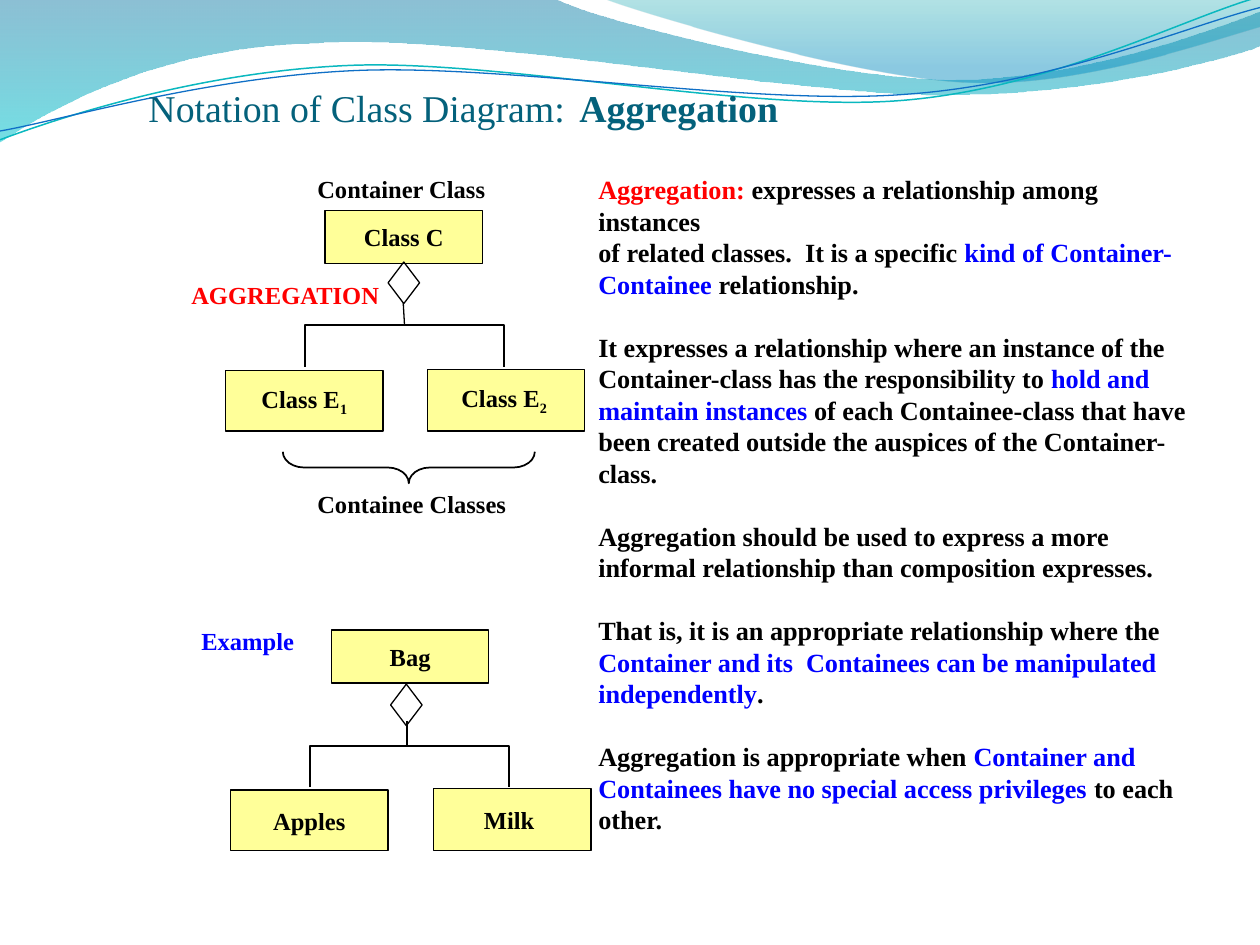
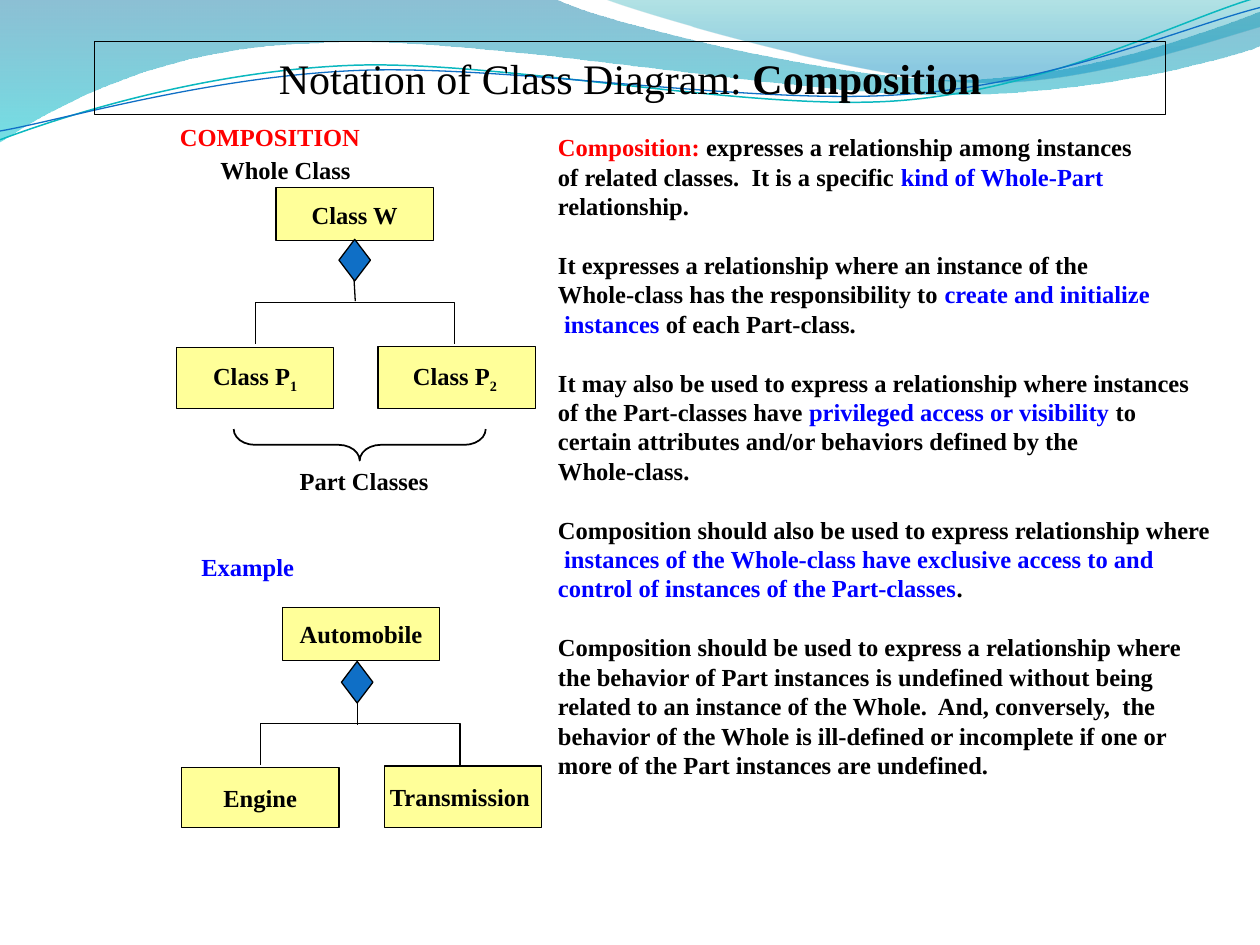
from lxml import etree
from pptx import Presentation
from pptx import util as u
from pptx.dml.color import RGBColor
from pptx.enum import shapes, text
from pptx.oxml import ns

rgb = RGBColor.from_string
FONT = "Times New Roman"
BLACK, RED, BLUE = "000000", "FF0000", "0000FF"
YELLOW, TEAL, ACCENT = "FFFF99", "04617B", "0F6FC6"
BOX_WIDTH = 1.25
LABEL_SIZE = 14


def style(shape, fill=None, line=BLACK, width=0.75):
    shape.shadow.inherit = False
    if fill:
        shape.fill.solid()
        shape.fill.fore_color.rgb = rgb(fill)
    else:
        shape.fill.background()
    if line:
        shape.line.color.rgb = rgb(line)
        shape.line.width = u.Pt(width)
    else:
        shape.line.fill.background()


def write(paragraph, runs, size):
    for content, colour, bold in runs:
        for index, part in enumerate(content.split("\n")):
            if index:
                paragraph.add_line_break()
            if part:
                run = paragraph.add_run()
                run.text = part
                run.font.name = FONT
                run.font.size = u.Pt(size)
                run.font.bold = bold
                run.font.color.rgb = rgb(colour)


waves = [
    {"start": (0, 0),
     "steps": [(4.4, -0.01), (4.76, 0.17, 6.64, 0.63, 7.58, 0.63),
               (8.53, 0.63, 9.58, 0.26, 10, 0.09), (10.01, 0.36),
               (9.83, 0.44, 8.7, 0.76, 7.46, 0.75),
               (6.22, 0.75, 3.82, 0.28, 2.57, 0.34),
               (1.29, 0.36, 0.46, 0.83, -0.01, 1.13)],
     "stops": [(0, "0074A1", 45), (1, "00C6CF", 55)]},
    {"start": (4.79, -0.01),
     "steps": [(5.09, 0.11, 6.82, 0.62, 7.69, 0.65),
               (8.56, 0.69, 9.61, 0.32, 10, 0.21), (10, 0)],
     "stops": [(0, "00A1A9", 30), (0.8, "008BBF", 45)]},
    {"start": (0, 1.11),
     "steps": [(0.48, 0.93, 1.58, 0.57, 2.77, 0.52),
               (3.95, 0.47, 5.93, 0.89, 7.13, 0.8),
               (8.33, 0.71, 9.38, 0.15, 9.98, -0.02)],
     "line": ("0AB8BF", 0.85)},
    {"start": (0, 1.04),
     "steps": [(0.47, 0.96, 1.64, 0.61, 2.83, 0.56),
               (4.03, 0.51, 5.97, 0.84, 7.17, 0.75),
               (8.36, 0.67, 9.41, 0.21, 10, 0.06)],
     "line": (ACCENT, 0.75)},
]

pages = [
    {"title": [("Notation of Class Diagram:", TEAL, False), (" ", TEAL, False),
               ("Aggregation", TEAL, True)],
     "title_sizes": [21.6, 32.4, 21.6], "title_box": (1.08, 0.5, 8.65, 0.58),
     "framed": False, "diamond": None,
     "diagrams": [(2.58, 1.67, ["Class C", "Class E_1", "Class E_2 "]),
                  (2.63, 5, ["Bag", "Apples", "Milk "])],
     "labels": [("AGGREGATION", RED, 1.42, 2.17, 1.7),
                ("Container Class", BLACK, 2.42, 1.33, 1.54),
                ("Containee Classes", BLACK, 2.42, 3.83, 1.7),
                ("Example", BLUE, 1.5, 4.92, 0.94)],
     "body_box": (4.65, 1.33, 4.94, 5.4), "body_size": 15, "body_wrap": True,
     "body": [
         ["*Aggregation:* expresses a relationship among instances ",
          "of related classes.  It is a specific *kind of Container-Containee* relationship."],
         ["It expresses a relationship where an instance of the \n"
          "Container-class has the responsibility to *hold and maintain instances* of each "
          "Containee-class that have been created outside the auspices of the Container-class."],
         ["Aggregation should be used to express a more informal relationship than "
          "composition expresses."],
         ["That is, it is an appropriate relationship where the *Container and its  "
          "Containees can be manipulated independently*."],
         ["Aggregation is appropriate when *Container and Containees have no special "
          "access privileges* to each other."]]},
    {"title": [("Notation of Class Diagram: ", BLACK, False), ("Composition", BLACK, True)],
     "title_sizes": [24, 24], "title_box": (0.75, 0.33, 8.5, 0.58),
     "framed": True, "diamond": ACCENT,
     "diagrams": [(2.19, 1.49, ["Class W", "Class P_1", "Class P_2 "]),
                  (2.24, 4.82, ["Automobile", "Engine", "Transmission "])],
     "labels": [("COMPOSITION", RED, 1.33, 0.92, 1.63),
                ("Whole Class", BLACK, 1.65, 1.18, 1.25),
                ("Part Classes", BLACK, 2.28, 3.65, 1.24),
                ("Example", BLUE, 1.5, 4.33, 0.94)],
     "body_box": (4.33, 1, 5.38, 5.22), "body_size": 14, "body_wrap": False,
     "body": [
         ["*Composition:* expresses a relationship among instances ",
          "of related classes.  It is a specific *kind of Whole-Part \n*relationship."],
         ["It expresses a relationship where an instance of the \n"
          "Whole-class has the responsibility to *create and initialize\n"
          " instances* of each Part-class."],
         ["It may also be used to express a relationship where instances\n"
          "of the Part-classes have *privileged access or visibility* to\n"
          "certain attributes and/or behaviors defined by the\nWhole-class."],
         ["Composition should also be used to express relationship where\n"
          " *instances of the Whole-class have exclusive access to and \n"
          "control of instances of the Part-classes*."],
         ["Composition should be used to express a relationship where\n"
          "the behavior of Part instances is undefined without being\n"
          "related to an instance of the Whole.  And, conversely,  the",
          "behavior of the Whole is ill-defined or incomplete if one or \n"
          "more of the Part instances are undefined."]]},
]

presentation = Presentation()
presentation.slide_width = u.Inches(10)
presentation.slide_height = u.Inches(7.5)

for page in pages:
    slide = presentation.slides.add_slide(presentation.slide_layouts[6])
    canvas = slide.shapes

    for wave in waves:
        corners = [(u.Inches(x), u.Inches(y)) for x, y in
                   [wave["start"]] + [step[-2:] for step in wave["steps"]]]
        builder = canvas.build_freeform(*corners[0])
        builder.add_line_segments(corners[1:], close="stops" in wave)
        shape = builder.convert_to_shape()
        segments = list(shape._element.spPr.iter(ns.qn("a:lnTo")))
        for segment, step in zip(segments, wave["steps"]):
            if len(step) == 2:
                continue
            curve = etree.Element(ns.qn("a:cubicBezTo"))
            for x, y in zip(step[::2], step[1::2]):
                point = etree.SubElement(curve, ns.qn("a:pt"))
                point.set("x", str(u.Inches(x) - shape.left))
                point.set("y", str(u.Inches(y) - shape.top))
            segment.getparent().replace(segment, curve)
        if "line" in wave:
            style(shape, None, *wave["line"])
            continue
        style(shape, line=None)
        shape.fill.gradient()
        shape.fill.gradient_angle = 270
        for stop, (position, colour, opacity) in zip(shape.fill.gradient_stops, wave["stops"]):
            stop.position = position
            stop.color.rgb = rgb(colour)
        colours = shape._element.spPr.iter(ns.qn("a:srgbClr"))
        for element, (position, colour, opacity) in zip(colours, wave["stops"]):
            etree.SubElement(element, ns.qn("a:alpha")).set("val", str(opacity * 1000))

    title_box = [u.Inches(length) for length in page["title_box"]]
    if page["framed"]:
        title = canvas.add_shape(shapes.MSO_SHAPE.RECTANGLE, *title_box)
        style(title)
    else:
        title = canvas.add_textbox(*title_box)
    title.text_frame.word_wrap = True
    title.text_frame.vertical_anchor = text.MSO_ANCHOR.MIDDLE
    paragraph = title.text_frame.paragraphs[0]
    paragraph.alignment = text.PP_ALIGN.CENTER if page["framed"] else text.PP_ALIGN.LEFT
    for run, size in zip(page["title"], page["title_sizes"]):
        write(paragraph, [run], size)

    for number, (left, top, names) in enumerate(page["diagrams"]):
        nudge = number * 0.01
        centre = left + (0.6 if number else 0.62)
        boxes = [(left, top, 0.42), (left - 0.79 - nudge, top + 1.27, 0.48),
                 (left + 0.81, top + 1.26, 0.49)]
        for name, (x, y, height) in zip(names, boxes):
            shape = canvas.add_shape(shapes.MSO_SHAPE.RECTANGLE, u.Inches(x), u.Inches(y),
                                     u.Inches(BOX_WIDTH), u.Inches(height))
            style(shape, YELLOW)
            shape.text_frame.word_wrap = False
            shape.text_frame.vertical_anchor = text.MSO_ANCHOR.MIDDLE
            paragraph = shape.text_frame.paragraphs[0]
            paragraph.alignment = text.PP_ALIGN.CENTER
            base, mark, subscript = name.partition("_")
            write(paragraph, [(base, BLACK, True), (subscript, BLACK, True)], LABEL_SIZE)
            if mark:
                paragraph.runs[1].font._element.set("baseline", "-25000")

        fork_left, fork_top = left - 0.16 - nudge, top + 0.91 + nudge
        fork = [(fork_left, fork_top + 0.33), (fork_left, fork_top),
                (fork_left + 1.58, fork_top), (fork_left + 1.58, fork_top + 0.33)]
        corners = [(u.Inches(x), u.Inches(y)) for x, y in fork]
        builder = canvas.build_freeform(*corners[0])
        builder.add_line_segments(corners[1:], close=False)
        style(builder.convert_to_shape())

        stem = canvas.add_connector(shapes.MSO_CONNECTOR.STRAIGHT,
                                    u.Inches(centre), u.Inches(top + 0.73 - nudge),
                                    u.Inches(centre + 0.01 - nudge),
                                    u.Inches(top + (0.93 if number else 0.9)))
        stem.line.color.rgb = rgb(BLACK)
        stem.line.width = u.Pt(0.75)
        etree.SubElement(stem._element.spPr, ns.qn("a:effectLst"))

        diamond = canvas.add_shape(shapes.MSO_SHAPE.DIAMOND, u.Inches(centre - 0.12 - nudge),
                                   u.Inches(top + (0.43 if number else 0.41)),
                                   u.Inches(0.25), u.Inches(0.33))
        style(diamond, page["diamond"])

    left, top, names = page["diagrams"][0]
    brace = canvas.add_shape(shapes.MSO_SHAPE.LEFT_BRACE, u.Inches(left + 0.54), u.Inches(top + 1.04),
                             u.Inches(0.25), u.Inches(2))
    brace.adjustments[0] = 0.67
    brace.rotation = 270
    style(brace, width=1)

    for label, colour, x, y, width in page["labels"]:
        shape = canvas.add_textbox(u.Inches(x), u.Inches(y), u.Inches(width), u.Inches(0.33))
        shape.text_frame.word_wrap = False
        write(shape.text_frame.paragraphs[0], [(label, colour, True)], LABEL_SIZE)

    body = canvas.add_textbox(*[u.Inches(length) for length in page["body_box"]])
    body.text_frame.word_wrap = page["body_wrap"]
    pitch = u.Pt(page["body_size"] * 1.2)
    paragraph = body.text_frame.paragraphs[0]
    for group_index, group in enumerate(page["body"]):
        for index, content in enumerate(group):
            if group_index or index:
                paragraph = body.text_frame.add_paragraph()
            paragraph.line_spacing = pitch
            paragraph.space_before = pitch if group_index and not index else u.Pt(0)
            runs = []
            for order, part in enumerate(content.split("*")):
                highlight = RED if part.endswith(":") else BLUE
                runs.append((part, highlight if order % 2 else BLACK, True))
            write(paragraph, runs, page["body_size"])

presentation.save("out.pptx")
